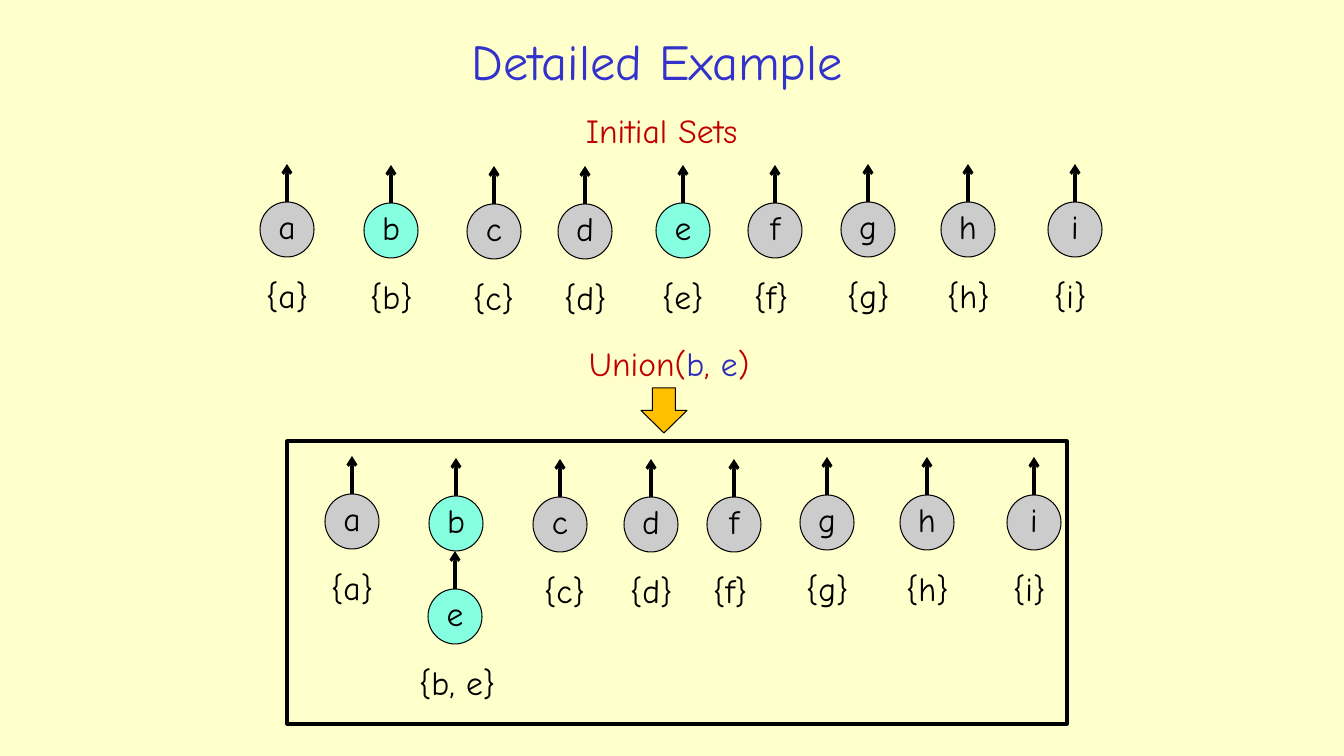
from lxml import etree
from pptx import Presentation
from pptx.dml.color import RGBColor
from pptx.enum.shapes import MSO_CONNECTOR as Connector, MSO_SHAPE as Shape
from pptx.enum.text import MSO_ANCHOR as Anchor, MSO_AUTO_SIZE as AutoSize, PP_ALIGN as Align
from pptx.oxml.ns import qn
from pptx.util import Emu, Pt

EMU_PER_PX = 914400 / 100.8
COLORS = {
    "background": "FFFFCC", "title": "3333CC", "heading": "C00000",
    "argument": "2D2DB9", "ink": "000000", "node": "CCCCCC",
    "merged": "85FFE0", "step": "FFC000",
}


def px(*lengths):
    return [Emu(round(length * EMU_PER_PX)) for length in lengths]


def rgb(name):
    return RGBColor.from_string(COLORS[name])


class ForestSlide:
    FONT = "Comic Neue"
    TEXT_SIZE = 24
    NODE_WIDTH, NODE_HEIGHT = 54, 55
    ARROW_LENGTH = 38

    def __init__(self, presentation):
        self.slide = presentation.slides.add_slide(presentation.slide_layouts[5])
        self.shapes = self.slide.shapes
        fill = self.slide.background.fill
        fill.solid()
        fill.fore_color.rgb = rgb("background")

    def style_run(self, run, color, size=TEXT_SIZE):
        run.font.name = self.FONT
        run.font.size = Pt(size)
        run.font.color.rgb = rgb(color)

    def title(self, text, *box):
        title = self.shapes.title
        title.left, title.top, title.width, title.height = px(*box)
        frame = title.text_frame
        frame.text = text
        frame.vertical_anchor = Anchor.MIDDLE
        frame.paragraphs[0].alignment = Align.CENTER
        self.style_run(frame.paragraphs[0].runs[0], "title", 36)

    def text(self, parts, left, top, width, height=51):
        frame = self.shapes.add_textbox(*px(left, top, width, height)).text_frame
        frame.word_wrap = False
        frame.auto_size = AutoSize.SHAPE_TO_FIT_TEXT
        for words, color in parts:
            run = frame.paragraphs[0].add_run()
            run.text = words
            self.style_run(run, color)

    def shape(self, kind, box, fill=None, line_width=0.75):
        shape = self.shapes.add_shape(kind, *px(*box))
        shape.shadow.inherit = False
        if fill:
            shape.fill.solid()
            shape.fill.fore_color.rgb = rgb(fill)
        else:
            shape.fill.background()
        shape.line.color.rgb = rgb("ink")
        shape.line.width = Pt(line_width)
        return shape

    def parent_arrow(self, node, x, top):
        arrow = self.shapes.add_connector(
            Connector.STRAIGHT, *px(x, top, x, top - self.ARROW_LENGTH))
        arrow.begin_connect(node, 0)
        arrow.line.color.rgb = rgb("ink")
        arrow.line.width = Pt(2.25)
        etree.SubElement(arrow.line._get_or_add_ln(), qn("a:tailEnd"), type="arrow")
        etree.SubElement(arrow._element.spPr, qn("a:effectLst"))

    def node(self, letter, x, top, members, members_shift=0, merged=()):
        """One element centred on x, its parent arrow and the set it names."""
        box = (x - self.NODE_WIDTH // 2, top, self.NODE_WIDTH, self.NODE_HEIGHT)
        circle = self.shape(Shape.OVAL, box, "merged" if letter in merged else "node")
        frame = circle.text_frame
        frame.word_wrap = False
        frame.margin_left = frame.margin_right = frame.margin_top = 0
        frame.margin_bottom = px(7)[0]
        frame.vertical_anchor = Anchor.MIDDLE
        frame.text = letter
        frame.paragraphs[0].alignment = Align.CENTER
        self.style_run(frame.paragraphs[0].runs[0], "ink")
        self.parent_arrow(circle, x, top)
        if members:
            # Room for the side margins plus 13 px a character
            width = 25 + 13 * len(members)
            self.text([(members, "ink")], x - 31 + members_shift, top + 68, width)


def main():
    presentation = Presentation()
    presentation.slide_width, presentation.slide_height = px(1344, 756)
    forest = ForestSlide(presentation)
    union_pair = ("b", "e")

    forest.title("Detailed Example", 206, 25, 903, 70)

    # Initial sets: every element is its own root
    forest.text([("Initial Sets", "heading")], 576, 105, 203)
    initial_sets = [
        ("a", 287, 202), ("b", 391, 203), ("c", 494, 204),
        ("d", 585, 204), ("e", 683, 203), ("f", 775, 203),
        ("g", 868, 202), ("h", 968, 202), ("i", 1075, 202),
    ]
    for letter, x, top in initial_sets:
        forest.node(letter, x, top, f"{{{letter}}}", merged=union_pair)

    # Union operation
    forest.text([("Union(", "heading"), ("b", "argument"), (", ", "heading"),
                 ("e", "argument"), (")", "heading")], 579, 338, 192)
    forest.shape(Shape.DOWN_ARROW, (641, 388, 46, 45), "step")

    # Sets after the union: e hangs below b
    forest.shape(Shape.RECTANGLE, (287, 441, 780, 283), line_width=2.25)
    united_sets = [
        ("a", 352, 494, "{a}", 0), ("b", 456, 496, "", 0),
        ("c", 560, 497, "{c}", 5), ("d", 651, 497, "{d}", 0),
        ("f", 734, 497, "{f}", 0), ("g", 827, 495, "{g}", 0),
        ("h", 927, 495, "{h}", 0), ("i", 1034, 495, "{i}", 0),
        ("e", 455, 589, "{b, e}", -15),
    ]
    for letter, x, top, members, shift in united_sets:
        forest.node(letter, x, top, members, shift, union_pair)

    presentation.save("out.pptx")


if __name__ == "__main__":
    main()
